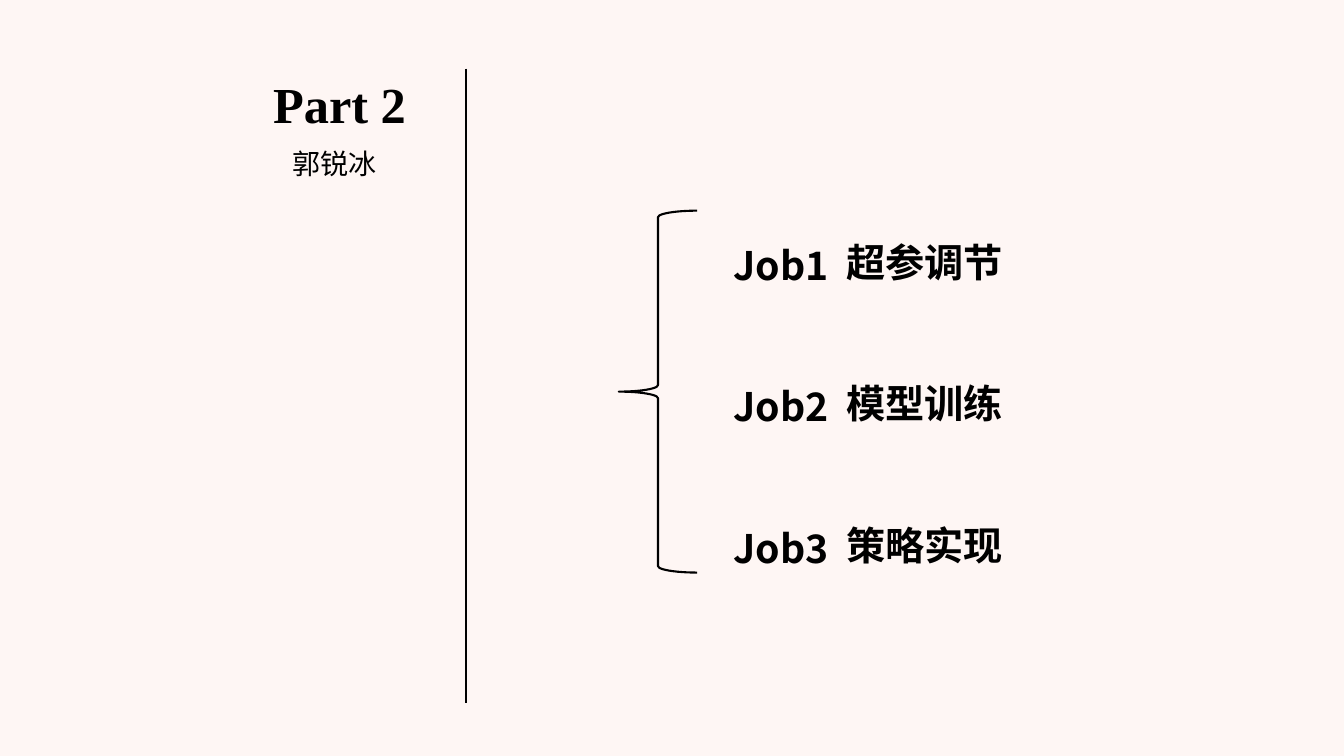
import pptx
import pptx.dml.color
import pptx.enum.shapes
import pptx.enum.text
import pptx.oxml.ns
import pptx.util
from lxml import etree

Pt = pptx.util.Pt
qn = pptx.oxml.ns.qn


def color(value):
    return pptx.dml.color.RGBColor.from_string(value)


def add_run(p, text, size=28, font="Noto Sans CJK SC", bold=False, fill="000000"):
    r = p.add_run()
    r.text = text
    r.font.size = Pt(size)
    r.font.name = font
    r.font.bold = bold
    r.font.color.rgb = color(fill)
    etree.SubElement(r.font._element, qn("a:ea"), typeface=font)


class Deck:
    ink = "000000"
    paper = "FEF6F4"
    line_width = 1.5

    def __init__(self):
        self.prs = pptx.Presentation()
        self.prs.slide_width = Pt(960)
        self.prs.slide_height = Pt(540)
        self.s = self.prs.slides.add_slide(self.prs.slide_layouts[6])
        self.s.background.fill.solid()
        self.s.background.fill.fore_color.rgb = color(self.paper)

    def outline(self, sp):
        sp.line.color.rgb = color(self.ink)
        sp.line.width = Pt(self.line_width)

    def text(self, x, y, w, h, lines, align="LEFT", leading=None, gap=0, **style):
        sp = self.s.shapes.add_textbox(Pt(x), Pt(y), Pt(w), Pt(h))
        tf = sp.text_frame
        tf.word_wrap = True
        tf.auto_size = pptx.enum.text.MSO_AUTO_SIZE.SHAPE_TO_FIT_TEXT
        for i, line in enumerate(lines):
            p = tf.add_paragraph() if i else tf.paragraphs[0]
            p.alignment = pptx.enum.text.PP_ALIGN[align]
            if leading:
                p.line_spacing = Pt(leading)
            if i:
                p.space_before = Pt(gap)
            add_run(p, line, fill=self.ink, **style)

    def brace(self, x, y, w, h):
        kind = pptx.enum.shapes.MSO_SHAPE.LEFT_BRACE
        sp = self.s.shapes.add_shape(kind, Pt(x), Pt(y), Pt(w), Pt(h))
        sp.shadow.inherit = False
        sp.fill.background()
        self.outline(sp)

    def line(self, x1, y1, x2, y2):
        kind = pptx.enum.shapes.MSO_CONNECTOR.STRAIGHT
        sp = self.s.shapes.add_connector(kind, Pt(x1), Pt(y1), Pt(x2), Pt(y2))
        self.outline(sp)
        etree.SubElement(sp._element.spPr, qn("a:effectLst"))


def main():
    deck = Deck()
    deck.text(188, 49, 170.6, 51, ["Part 2"], size=36, font="Times New Roman", bold=True)
    deck.text(185, 100.8, 108, 31.7, ["郭锐冰"], align="CENTER", size=20)

    jobs = {"Job1": "超参调节", "Job2": "模型训练", "Job3": "策略实现"}
    columns = [(517, 150.5, jobs.keys()), (597.6, 148.3, jobs.values())]
    for x, y, lines in columns:
        deck.text(x, y, 193.7, 253.4, lines, leading=52, gap=49, bold=True)

    deck.brace(442, 150.5, 56, 258.5)
    deck.line(332.6, 49, 332.6, 501.8)
    deck.prs.save("out.pptx")


if __name__ == "__main__":
    main()
